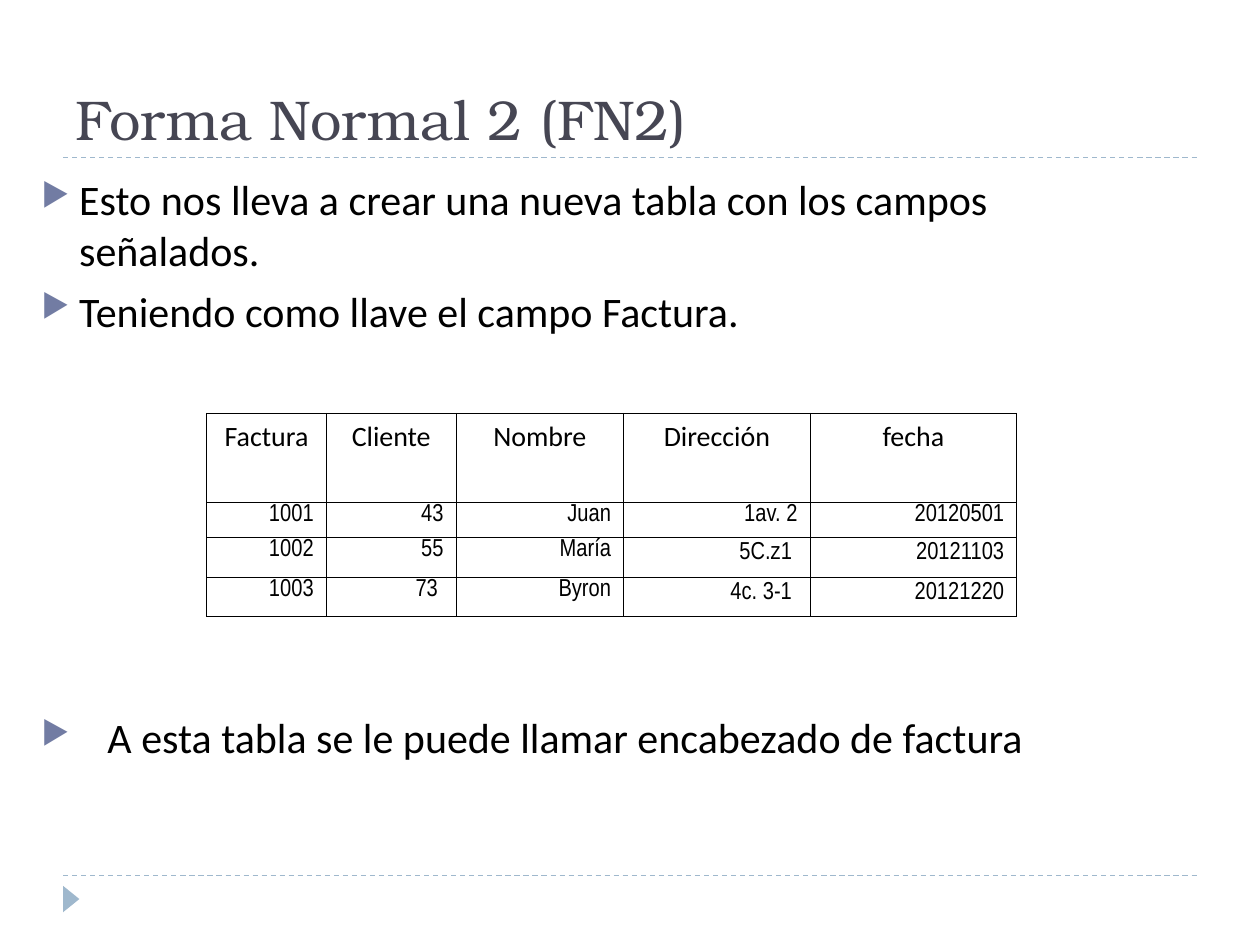
from lxml.etree import SubElement
from pptx import Presentation
from pptx.dml.color import RGBColor
from pptx.enum.dml import MSO_LINE
from pptx.enum.shapes import MSO_CONNECTOR, MSO_SHAPE
from pptx.enum.text import MSO_ANCHOR, PP_ALIGN
from pptx.oxml.ns import qn
from pptx.util import Inches, Pt

WIDE, HIGH = Inches(10), Inches(7.5)
HUES = {"ink": "000000", "title": "464653", "mark": "727CA3", "rule": "9FB8CD"}
COLS = (9.5, 10.3, 13.3, 14.8, 16.4)
ROWS = (9.4, 3.73, 4.2, 4.13)
DATA = (
    ("Factura", "Cliente", "Nombre", "Dirección", "fecha"),
    ("1001", "43", "Juan", "1av. 2", "20120501"),
    ("1002", "55", "María", "5C.z1 ", "20121103"),
    ("1003", "73 ", "Byron", "4c. 3-1 ", "20121220"),
)
POINTS = (
    ("Esto nos lleva a crear una nueva tabla con los campos señalados.", 0, 3),
    ("Teniendo como llave el campo Factura.", 6, 3),
    ("A esta tabla se le puede llamar encabezado de factura", 215, 5.25),
)


def across(share):
    """Turn a percentage of the slide width into a length."""
    return round(WIDE * share / 100)


def down(share):
    """Turn a percentage of the slide height into a length."""
    return round(HIGH * share / 100)


def area(x, y, w, h):
    """Turn four percentages into left, top, width and height."""
    return across(x), down(y), across(w), down(h)


def style(para, face, size, hue):
    """Set the font of every run in a paragraph."""
    for run in para.runs:
        run.font.name, run.font.size = face, Pt(size)
        run.font.color.rgb = RGBColor.from_string(HUES[hue])


def add_rule(slide, y):
    """Draw a dashed rule across the slide at a given height."""
    line = slide.shapes.add_connector(
        MSO_CONNECTOR.STRAIGHT, across(5), down(y), across(95), down(y))
    line.line.color.rgb = RGBColor.from_string(HUES["rule"])
    line.line.width = Pt(0.75)
    line.line.dash_style = MSO_LINE.DASH
    SubElement(line._element.spPr, qn("a:effectLst"))


def add_arrow(slide):
    """Draw the small triangle in the footer."""
    arrow = slide.shapes.add_shape(
        MSO_SHAPE.ISOSCELES_TRIANGLE, *area(4.6, 94.27, 2.1, 1.73))
    arrow.rotation = 90
    arrow.shadow.inherit = False
    arrow.fill.solid()
    arrow.fill.fore_color.rgb = RGBColor.from_string(HUES["rule"])
    arrow.line.fill.background()


def add_frame(slide, *place):
    """Add a wrapping text box and return its text frame."""
    frame = slide.shapes.add_textbox(*area(*place)).text_frame
    frame.word_wrap = True
    return frame


def add_title(slide, text):
    """Write the title above the upper rule."""
    frame = add_frame(slide, 5, 2.27, 90, 14.4)
    frame.vertical_anchor = MSO_ANCHOR.BOTTOM
    frame.text = text
    style(frame.paragraphs[0], "TeX Gyre Bonum", 32, "title")


def add_mark(para, inset):
    """Give a paragraph a hanging triangle bullet."""
    props = para._p.get_or_add_pPr()
    props.set("marL", str(across(inset)))
    props.set("indent", str(-across(inset)))
    tint = SubElement(props, qn("a:buClr"))
    SubElement(tint, qn("a:srgbClr"), val=HUES["mark"])
    SubElement(props, qn("a:buSzPct"), val="76000")
    SubElement(props, qn("a:buChar"), char="▶")


def add_points(slide):
    """Write the bullets around the table."""
    frame = add_frame(slide, 2.3, 17.73, 90, 72)
    frame.text = "\n".join(text for text, _, _ in POINTS)
    for para, (_, gap, inset) in zip(frame.paragraphs, POINTS):
        add_mark(para, inset)
        para.space_before = Pt(gap)
        style(para, "Calibri", 24, "ink")


def add_edges(cell):
    """Put a thin line on all sides of a cell."""
    props = cell._tc.get_or_add_tcPr()
    for spot, side in enumerate(("lnL", "lnR", "lnT", "lnB")):
        edge = props.makeelement(qn("a:" + side), {"w": str(Pt(0.45))})
        fill = SubElement(edge, qn("a:solidFill"))
        SubElement(fill, qn("a:srgbClr"), val=HUES["ink"])
        props.insert(spot, edge)


def fill_cell(cell, text, row, col):
    """Write and format one cell by its place in the table."""
    head = row == 0
    cell.text = text
    cell.fill.background()
    cell.margin_top = cell.margin_bottom = Inches(0.05 if head else 0.01)
    para = cell.text_frame.paragraphs[0]
    para.alignment = PP_ALIGN.CENTER if head else PP_ALIGN.RIGHT
    if row > 1 and col > 2:
        para.line_spacing = 1.15
    style(para, *(("Calibri", 16) if head else ("Arial Narrow", 14)), "ink")
    add_edges(cell)


def add_grid(slide):
    """Build the invoice table."""
    place = area(16.4, 43.73, sum(COLS), sum(ROWS))
    grid = slide.shapes.add_table(len(ROWS), len(COLS), *place).table
    grid.first_row = grid.horz_banding = False
    for col, share in zip(grid.columns, COLS):
        col.width = across(share)
    for row, share in zip(grid.rows, ROWS):
        row.height = down(share)
    for row, texts in enumerate(DATA):
        for col, text in enumerate(texts):
            fill_cell(grid.cell(row, col), text, row, col)


def main():
    """Build the slide and save it."""
    deck = Presentation()
    deck.slide_width, deck.slide_height = WIDE, HIGH
    slide = deck.slides.add_slide(deck.slide_layouts[6])
    for y in (92.67, 16.67):
        add_rule(slide, y)
    add_arrow(slide)
    add_title(slide, "Forma Normal 2 (FN2)")
    add_points(slide)
    add_grid(slide)
    deck.save("out.pptx")


if __name__ == "__main__":
    main()
